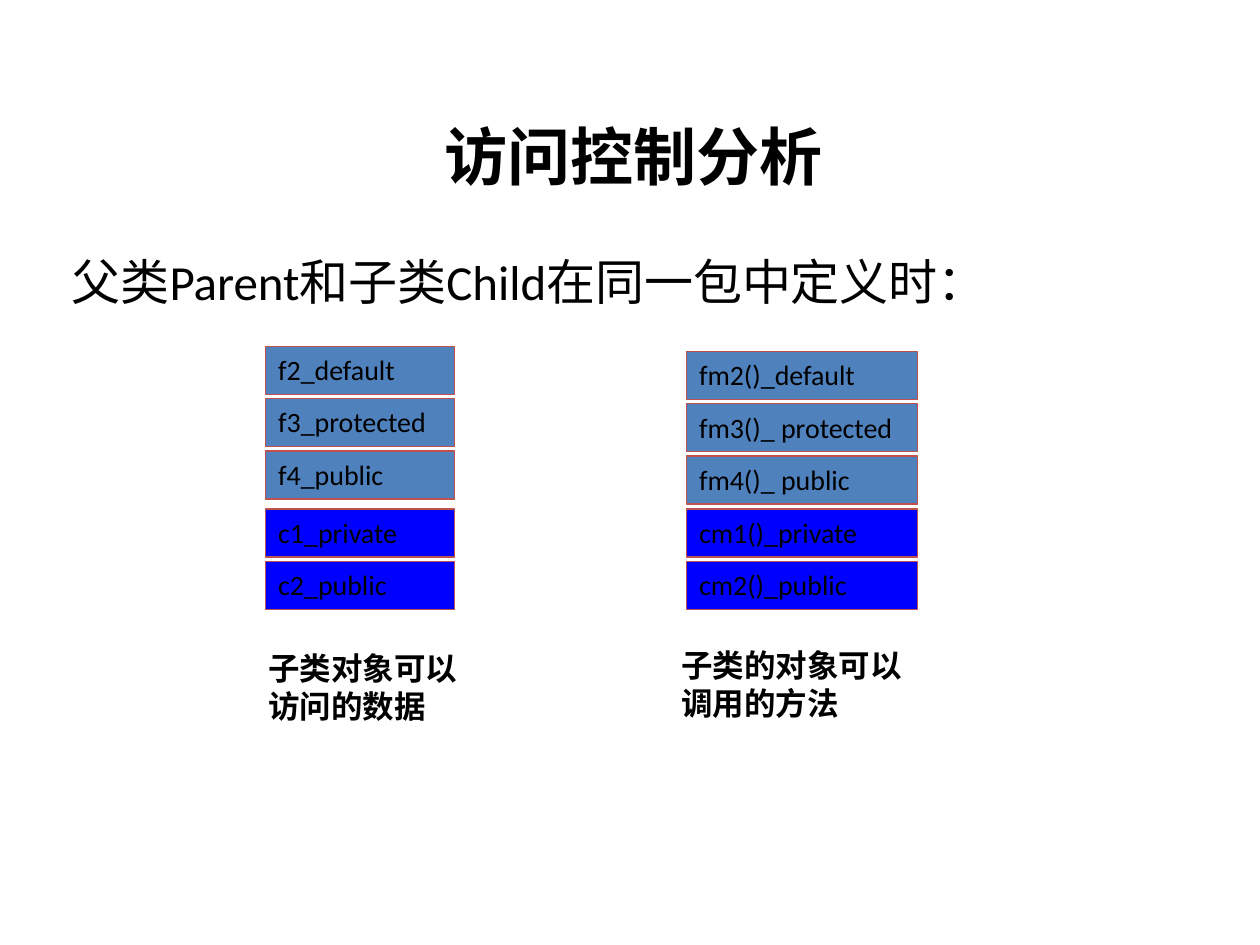
from dataclasses import dataclass

from pptx import Presentation
from pptx import util as u
from pptx.dml.color import RGBColor
from pptx.enum import shapes, text


@dataclass(frozen=True)
class Theme:
    font: str = "Calibri"
    ink: str = "000000"
    inherited: str = "4F81BD"
    own: str = "0000FF"
    border: str = "C0504D"
    title: int = 36
    lead: int = 28
    caption: int = 18
    member: int = 16


class SlideBuilder:
    def __init__(self, page, theme):
        self.page = page
        self.theme = theme

    def add_words(self, box, words, size, bold=False, align=text.PP_ALIGN.LEFT,
                  anchor=text.MSO_ANCHOR.TOP):
        frame = box.text_frame
        frame.word_wrap = True
        frame.vertical_anchor = anchor
        para = frame.paragraphs[0]
        para.alignment = align
        span = para.add_run()
        span.text = words
        span.font.name = self.theme.font
        span.font.size = u.Pt(size)
        span.font.bold = bold
        span.font.color.rgb = RGBColor.from_string(self.theme.ink)

    def label(self, area, words, size, **style):
        box = self.page.shapes.add_textbox(*map(u.Inches, area))
        self.add_words(box, words, size, **style)

    def member(self, area, words, fill):
        box = self.page.shapes.add_shape(
            shapes.MSO_SHAPE.RECTANGLE, *map(u.Inches, area))
        box.shadow.inherit = False
        box.fill.solid()
        box.fill.fore_color.rgb = RGBColor.from_string(fill)
        box.line.color.rgb = RGBColor.from_string(self.theme.border)
        box.line.width = u.Pt(0.75)
        self.add_words(box, words, self.theme.member, align=text.PP_ALIGN.JUSTIFY)

    def stack(self, left, top, width, names, fill):
        pitch = 0.83 / 2
        for row, name in enumerate(names):
            self.member((left, top + row * pitch, width, 0.38), name, fill)


theme = Theme()
deck = Presentation()
deck.slide_width = u.Inches(10)
deck.slide_height = u.Inches(7.5)
slide = SlideBuilder(deck.slides.add_slide(deck.slide_layouts[6]), theme)

slide.label((3.43, 0.77, 3.49, 0.93), "访问控制分析", theme.title, bold=True,
            anchor=text.MSO_ANCHOR.MIDDLE)
slide.label((0.47, 1.95, 8.65, 0.57), "父类Parent和子类Child在同一包中定义时：", theme.lead)

columns = [
    (2.11, 2.75, 1.5, ["f2_default", "f3_protected", "f4_public"],
     ["c1_private", "c2_public"],
     (2.03, 5.1, 1.83, 0.7), "子类对象可以访问的数据"),
    (5.45, 2.79, 1.83, ["fm2()_default", "fm3()_ protected", "fm4()_ public"],
     ["cm1()_private", "cm2()_public"],
     (5.31, 5.08, 2.1, 0.71), "子类的对象可以调用的方法"),
]
for left, top, width, inherited, own, caption_area, caption in columns:
    slide.stack(left, top, width, inherited, theme.inherited)
    slide.stack(left, 4.04, width, own, theme.own)
    slide.label(caption_area, caption, theme.caption, bold=True)

deck.save("out.pptx")
